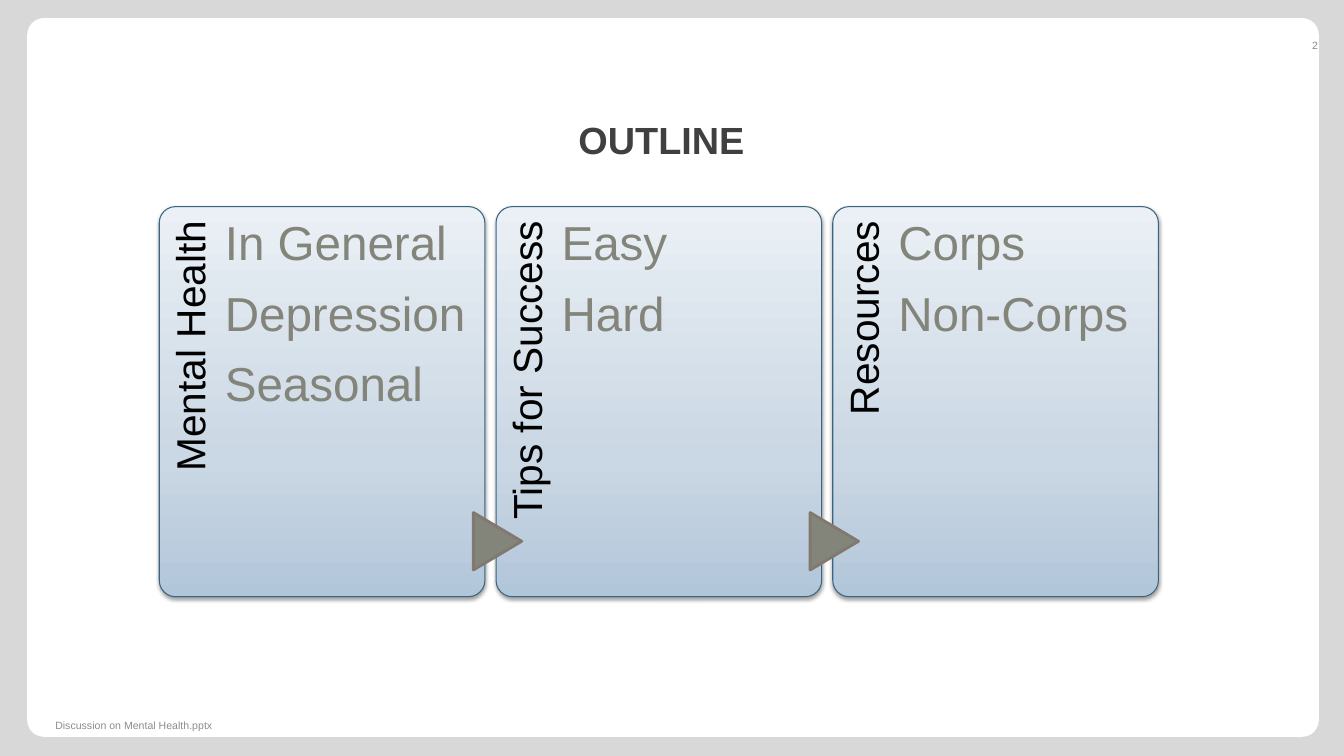
from copy import deepcopy

from lxml.etree import SubElement
from pptx import Presentation
from pptx.dml.color import RGBColor
from pptx.enum.shapes import MSO_SHAPE
from pptx.enum.text import MSO_ANCHOR, PP_ALIGN
from pptx.oxml.ns import qn
from pptx.util import Inches, Pt

TITLE = "OUTLINE"
FOOTER = "Discussion on Mental Health.pptx"
PAGE_NUMBER = "2"
CARDS = [
    ("Mental Health", ["In General", "Depression", "Seasonal"]),
    ("Tips for Success", ["Easy", "Hard"]),
    ("Resources", ["Corps", "Non-Corps"]),
]
COLORS = {
    "background": "D8D8D8", "panel": "FFFFFF", "title": "404040",
    "footer": "8C8C8C", "number": "898989", "label": "000000",
    "item": "83847A", "arrow_line": "82786F", "card_line": "3B6481",
    "shadow": "000000",
}
CARD_GRADIENT = [(0, "B2C6DA"), (0.35, "CAD7E4"), (1, "EAF0F5")]

SLIDE_WIDTH, SLIDE_HEIGHT = 13.33, 7.5
CARD_LEFT, CARD_TOP, CARD_WIDTH, CARD_HEIGHT = 1.58, 2.05, 3.23, 3.87
CARD_PITCH = 3.34
LABEL_LENGTH, LABEL_DEPTH = 3.18, 0.65
ARROW_WIDTH, ARROW_HEIGHT = 0.57, 0.48
DEFAULT_INSETS = (0.1, 0.05, 0.1, 0.05)


def rgb(name):
    return RGBColor.from_string(COLORS[name])


def add_text(slide, box, lines, size, color, align=PP_ALIGN.LEFT,
             anchor=MSO_ANCHOR.TOP, insets=DEFAULT_INSETS, bold=False,
             line_spacing=1.0, space_after=0):
    shape = slide.shapes.add_textbox(*map(Inches, box))
    frame = shape.text_frame
    frame.word_wrap = True
    frame.vertical_anchor = anchor
    (frame.margin_left, frame.margin_top,
     frame.margin_right, frame.margin_bottom) = map(Inches, insets)
    for index, line in enumerate(lines):
        paragraph = frame.add_paragraph() if index else frame.paragraphs[0]
        paragraph.alignment = align
        paragraph.line_spacing = line_spacing
        paragraph.space_after = Pt(space_after)
        run = paragraph.add_run()
        run.text = line
        run.font.name = "Arial"
        run.font.size = Pt(size)
        run.font.bold = bold
        run.font.color.rgb = rgb(color)
    return shape


def add_filled_shape(slide, kind, box, fill, line=None, line_width=0):
    """Add a shape; without a fill colour it gets the card gradient."""
    shape = slide.shapes.add_shape(kind, *map(Inches, box))
    shape.shadow.inherit = False
    if fill:
        shape.fill.solid()
        shape.fill.fore_color.rgb = rgb(fill)
    else:
        set_card_gradient(shape)
    if line:
        shape.line.color.rgb = rgb(line)
        shape.line.width = Pt(line_width)
    else:
        shape.line.fill.background()
    return shape


def set_card_gradient(shape):
    shape.fill.gradient()
    shape.fill.gradient_angle = 90
    stop_list = next(shape.element.spPr.iter(qn("a:gsLst")))
    stop_list.append(deepcopy(stop_list[0]))
    for stop, (position, color) in zip(shape.fill.gradient_stops, CARD_GRADIENT):
        stop.color.rgb = RGBColor.from_string(color)
        stop.position = position


def add_card_shadow(shape):
    effects = shape.element.spPr.find(qn("a:effectLst"))
    shadow = SubElement(effects, qn("a:outerShdw"), blurRad=str(Pt(3.1)),
                        dist=str(Pt(1.6)), dir="5400000", rotWithShape="0")
    color = SubElement(shadow, qn("a:srgbClr"), val=COLORS["shadow"])
    SubElement(color, qn("a:alpha"), val="38000")


def add_card(slide, index, label, items):
    left = CARD_LEFT + index * CARD_PITCH
    card = add_filled_shape(slide, MSO_SHAPE.ROUNDED_RECTANGLE,
                            (left, CARD_TOP, CARD_WIDTH, CARD_HEIGHT),
                            None, "card_line", 0.75)
    card.adjustments[0] = 0.05
    add_card_shadow(card)

    label_center = left + LABEL_DEPTH / 2
    label_top = CARD_TOP + (LABEL_LENGTH - LABEL_DEPTH) / 2
    label_box = add_text(
        slide, (label_center - LABEL_LENGTH / 2, label_top, LABEL_LENGTH, LABEL_DEPTH),
        [label], 29, "label", PP_ALIGN.RIGHT, insets=(0, 0.11, 0.14, 0),
        line_spacing=0.9)
    label_box.rotation = 270

    if index:
        arrow = add_filled_shape(slide, MSO_SHAPE.FLOWCHART_EXTRACT,
                                 (left - 0.27, 5.13, ARROW_WIDTH, ARROW_HEIGHT),
                                 "item", "arrow_line", 2)
        arrow.rotation = 90

    add_text(slide, (left + LABEL_DEPTH, CARD_TOP, 2.41, CARD_HEIGHT), items,
             34, "item", insets=(0, 0.13, 0, 0), line_spacing=0.9, space_after=13.5)


def main():
    presentation = Presentation()
    presentation.slide_width = Inches(SLIDE_WIDTH)
    presentation.slide_height = Inches(SLIDE_HEIGHT)
    slide = presentation.slides.add_slide(presentation.slide_layouts[6])
    slide.background.fill.solid()
    slide.background.fill.fore_color.rgb = rgb("background")

    panel = add_filled_shape(slide, MSO_SHAPE.ROUNDED_RECTANGLE,
                             (0.27, 0.18, 12.81, 7.13), "panel")
    panel.adjustments[0] = 0.023
    add_text(slide, (0.45, 0.25, 12.22, 1.41), [TITLE], 27, "title",
             PP_ALIGN.CENTER, MSO_ANCHOR.BOTTOM, bold=True)
    add_text(slide, (0.45, 7.08, 4.23, 0.24), [FOOTER], 7.5, "footer",
             anchor=MSO_ANCHOR.MIDDLE)
    add_text(slide, (12.11, 0.25, 1.06, 0.4), [PAGE_NUMBER], 7.5, "number",
             PP_ALIGN.RIGHT, MSO_ANCHOR.MIDDLE)
    for index, (label, items) in enumerate(CARDS):
        add_card(slide, index, label, items)
    presentation.save("out.pptx")


if __name__ == "__main__":
    main()
